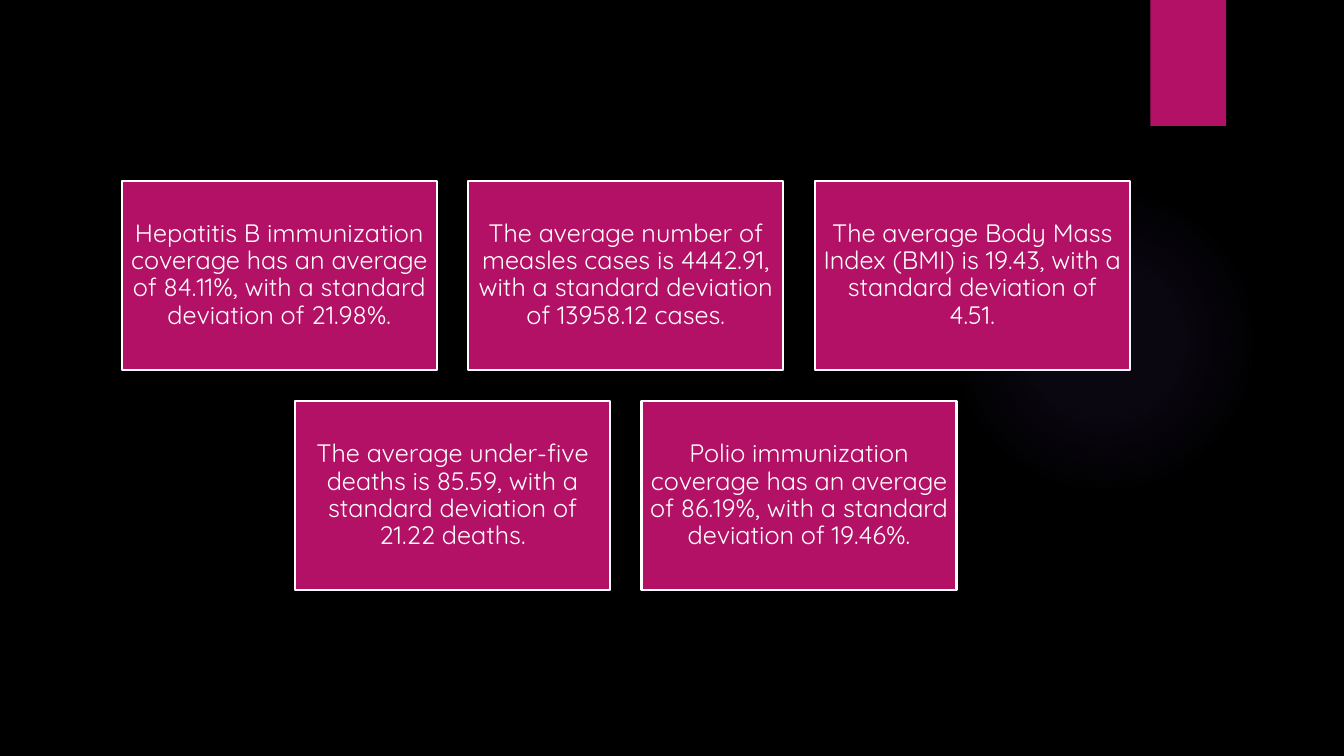
from pptx import Presentation
from pptx.dml.color import RGBColor
from pptx.enum.shapes import MSO_SHAPE
from pptx.enum.text import MSO_ANCHOR, PP_ALIGN
from pptx.oxml import parse_xml
from pptx.oxml.ns import nsdecls
from pptx.util import Pt

BLACK = RGBColor(0x00, 0x00, 0x00)
WHITE = RGBColor(0xFF, 0xFF, 0xFF)
MAGENTA = RGBColor(0xB3, 0x11, 0x66)
VIOLET = RGBColor(0x9B, 0x6B, 0xF2)

SLIDE_W, SLIDE_H = 960, 540
CARD_W, CARD_H, GAP = 225, 135, 22.5
CARDS_CENTER, CARDS_TOP = 447, 129

CARD_ROWS = [
    [
        "Hepatitis B immunization coverage has an average of 84.11%, "
        "with a standard deviation of 21.98%.",
        "The average number of measles cases is 4442.91, "
        "with a standard deviation of 13958.12 cases.",
        "The average Body Mass Index (BMI) is 19.43, "
        "with a standard deviation of 4.51.",
    ],
    [
        "The average under-five deaths is 85.59, "
        "with a standard deviation of 21.22 deaths.",
        "Polio immunization coverage has an average of 86.19%, "
        "with a standard deviation of 19.46%.",
    ],
]


class SlideBuilder:
    font_name = "Quicksand"
    font_size = 18
    inset = 5.4

    def __init__(self, slide):
        self.slide = slide

    def background(self, color):
        fill = self.slide.background.fill
        fill.solid()
        fill.fore_color.rgb = color

    def shape(self, kind, left, top, width, height):
        """Add a preset shape without shadow or outline."""
        s = self.slide.shapes.add_shape(
            kind, Pt(left), Pt(top), Pt(width), Pt(height))
        s.shadow.inherit = False
        s.line.fill.background()
        return s

    def block(self, left, top, width, height):
        """Add a plain magenta rectangle."""
        s = self.shape(MSO_SHAPE.RECTANGLE, left, top, width, height)
        s.fill.solid()
        s.fill.fore_color.rgb = MAGENTA
        return s

    def glow(self, left, top, size, color, stops):
        """Add a circle fading outwards; stops are (position %, opacity %)."""
        s = self.shape(MSO_SHAPE.OVAL, left, top, size, size)
        gs = "".join(
            f'<a:gs pos="{pos * 1000}"><a:srgbClr val="{color}">'
            f'<a:alpha val="{alpha * 1000}"/></a:srgbClr></a:gs>'
            for pos, alpha in stops)
        gradient = parse_xml(
            f'<a:gradFill {nsdecls("a")}><a:gsLst>{gs}</a:gsLst>'
            '<a:path path="circle"><a:fillToRect l="50000" t="50000" '
            'r="50000" b="50000"/></a:path></a:gradFill>')
        s.element.spPr.find("./{*}prstGeom").addnext(gradient)

    def card(self, left, top, text):
        s = self.block(left, top, CARD_W, CARD_H)
        s.line.color.rgb = WHITE
        s.line.width = Pt(1.5)
        tf = s.text_frame
        tf.word_wrap = True
        tf.vertical_anchor = MSO_ANCHOR.MIDDLE
        tf.margin_left = tf.margin_right = Pt(self.inset)
        tf.margin_top = tf.margin_bottom = Pt(self.inset)
        p = tf.paragraphs[0]
        p.text = text
        p.alignment = PP_ALIGN.CENTER
        p.line_spacing = 0.9
        p.space_after = Pt(6.3)
        p.font.name = self.font_name
        p.font.size = Pt(self.font_size)
        p.font.color.rgb = WHITE

    def card_rows(self, rows):
        """Lay out the cards in rows, each centred on the same axis."""
        for i, row in enumerate(rows):
            row_width = len(row) * (CARD_W + GAP) - GAP
            left = CARDS_CENTER - row_width / 2
            top = CARDS_TOP + i * (CARD_H + GAP)
            for j, text in enumerate(row):
                self.card(left + j * (CARD_W + GAP), top, text)


def main():
    prs = Presentation()
    prs.slide_width, prs.slide_height = Pt(SLIDE_W), Pt(SLIDE_H)
    builder = SlideBuilder(prs.slides.add_slide(prs.slide_layouts[6]))
    builder.background(BLACK)
    builder.glow(677.5, 132, 222, VIOLET, [(0, 7), (36, 6), (69, 0)])
    builder.block(821.75, 0, 54, 90)
    builder.card_rows(CARD_ROWS)
    prs.save("out.pptx")


if __name__ == "__main__":
    main()
